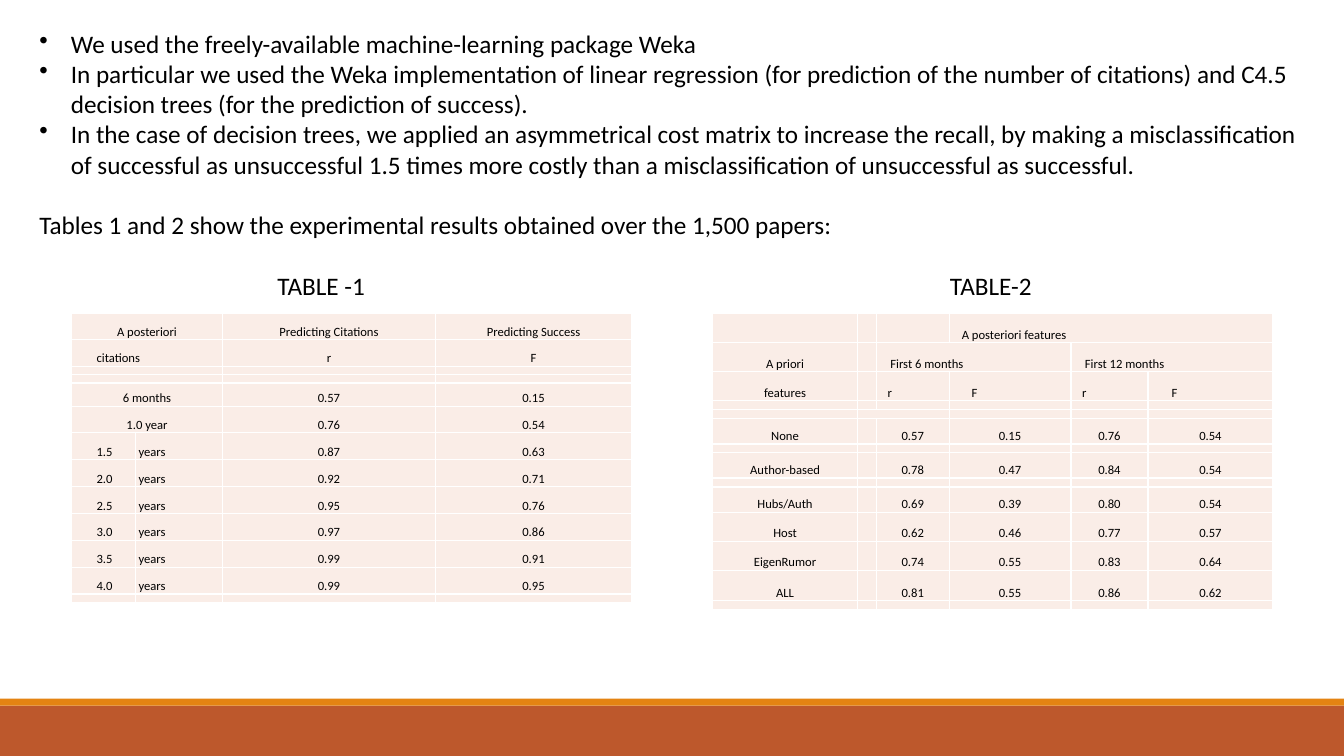
from lxml.etree import SubElement
from pptx import Presentation
from pptx.dml.color import RGBColor
from pptx.enum.shapes import MSO_SHAPE
from pptx.enum.text import MSO_ANCHOR, PP_ALIGN
from pptx.oxml import parse_xml
from pptx.oxml.ns import nsdecls, qn
from pptx.util import Pt

FONT = "Calibri"
BLACK = "000000"
CELL_FILL = "FAEDE7"
BORDER = "FFFFFF"

BULLETS = [
    "We used the freely-available machine-learning package Weka",
    "In particular we used the Weka implementation of linear regression (for prediction of "
    "the number of citations) and C4.5 decision trees (for the prediction of success).",
    "In the case of decision trees, we applied an asymmetrical cost matrix to increase the "
    "recall, by making a misclassification of successful as unsuccessful 1.5 times more "
    "costly than a misclassification of unsuccessful as successful.",
]
RESULTS_INTRO = "Tables 1 and 2 show the experimental results obtained over the 1,500 papers:"
CAPTIONS = "\tTABLE -1\tTABLE-2"

# Each row: height, exact line spacing (None for single), cells.
# A cell is centred text, or (text, left indent); None continues the cell to its left.
YEARS = [("1.5", "0.87", "0.63"), ("2.0", "0.92", "0.71"), ("2.5", "0.95", "0.76"),
         ("3.0", "0.97", "0.86"), ("3.5", "0.99", "0.91"), ("4.0", "0.99", "0.95")]
POSTERIORI_COLUMNS = [46, 62, 152, 140.3]
POSTERIORI_ROWS = [
    (18.5, None, ["A posteriori", None, "Predicting Citations", "Predicting Success"]),
    (19.2, 8.8, [("citations", 18), None, "r", "F"]),
    (6, None, ["", None, "", ""]),
    (6, None, ["", None, "", ""]),
    (16.6, 9.2, ["6 months", None, "0.57", "0.15"]),
    (19, None, ["1.0 year", None, "0.76", "0.54"]),
    *[(19.2, None, [(age, 18), ("years", 2), r, f]) for age, r, f in YEARS],
    (6, None, [""] * 4),
]

GAP_ROW = (6.4, None, [""] * 6)
PRIORI_COLUMNS = [103.5, 13.5, 52, 87, 55, 89.3]
PRIORI_ROWS = [
    (20.8, None, ["", "", "", ("A posteriori features", 9), None, None]),
    (20.8, None, ["A priori", "", ("First 6 months", 10), None, ("First 12 months", 10), None]),
    (20.8, 8.8, ["features", "", ("r", 8), ("F", 16), ("r", 8), ("F", 17)]),
    GAP_ROW,
    (6.4, None, ["", "", None, "", "", ""]),
    (18, 9.2, ["None", "", "0.57", "0.15", "0.76", "0.54"]),
    GAP_ROW,
    (18, 9.3, ["Author-based", "", "0.78", "0.47", "0.84", "0.54"]),
    GAP_ROW,
    (18, 9.3, ["Hubs/Auth", "", "0.69", "0.39", "0.80", "0.54"]),
    (20.8, None, ["Host", "", "0.62", "0.46", "0.77", "0.57"]),
    (20.8, None, ["EigenRumor", "", "0.74", "0.55", "0.83", "0.64"]),
    (21.8, None, ["ALL", "", "0.81", "0.55", "0.86", "0.62"]),
    GAP_ROW,
]


def color(value):
    return RGBColor.from_string(value)


def style_text(paragraph, size):
    paragraph.font.name = FONT
    paragraph.font.size = Pt(size)
    paragraph.font.color.rgb = color(BLACK)


def indent(paragraph, left, first=0):
    properties = paragraph._p.get_or_add_pPr()
    properties.set("marL", str(Pt(left)))
    properties.set("indent", str(Pt(first)))
    return properties


def add_bullet(paragraph):
    bullet = parse_xml(f'<a:buChar {nsdecls("a")} char="•"/>')
    indent(paragraph, 22.5, -22.5).insert_element_before(bullet, "a:defRPr")


def add_tab_stops(paragraph, positions):
    stops = parse_xml(f'<a:tabLst {nsdecls("a")}/>')
    for position in positions:
        SubElement(stops, qn("a:tab"), pos=str(Pt(position)), algn="l")
    paragraph._p.get_or_add_pPr().insert_element_before(stops, "a:defRPr")


def add_band(slide, top, height, fill):
    band = slide.shapes.add_shape(MSO_SHAPE.RECTANGLE, 0, Pt(top), Pt(960), Pt(height))
    band.shadow.inherit = False
    band.fill.solid()
    band.fill.fore_color.rgb = color(fill)
    band.line.fill.background()


def add_method_text(slide):
    frame = slide.shapes.add_textbox(Pt(21), Pt(16.5), Pt(931), Pt(225)).text_frame
    frame.word_wrap = True
    for number, text in enumerate([*BULLETS, RESULTS_INTRO, CAPTIONS]):
        paragraph = frame.paragraphs[0] if number == 0 else frame.add_paragraph()
        paragraph.text = text
        style_text(paragraph, 18)
        if text in BULLETS:
            add_bullet(paragraph)
        else:
            paragraph.space_before = Pt(21.8)
    add_tab_stops(paragraph, [170, 650.5])


def add_borders(cell):
    properties = cell._tc.get_or_add_tcPr()
    for side in ("lnL", "lnR", "lnT", "lnB"):
        properties.append(parse_xml(
            f'<a:{side} {nsdecls("a")} w="{Pt(1)}"><a:solidFill>'
            f'<a:srgbClr val="{BORDER}"/></a:solidFill></a:{side}>'))


def fill_cell(cell, content, spacing):
    cell.margin_left = cell.margin_right = cell.margin_top = cell.margin_bottom = 0
    cell.vertical_anchor = MSO_ANCHOR.BOTTOM
    add_borders(cell)
    cell.fill.solid()
    cell.fill.fore_color.rgb = color(CELL_FILL)
    paragraph = cell.text_frame.paragraphs[0]
    if not content:
        # An empty cell needs a small end mark, or it would stretch its thin row.
        paragraph._p.get_or_add_endParaRPr().set("sz", "400")
        return
    if isinstance(content, tuple):
        paragraph.text, left = content
        indent(paragraph, left)
    else:
        paragraph.text = content
        paragraph.alignment = PP_ALIGN.CENTER
    style_text(paragraph, 9)
    if spacing:
        paragraph.line_spacing = Pt(spacing)


def add_results_table(slide, left, columns, rows):
    height = sum(row[0] for row in rows)
    table = slide.shapes.add_table(len(rows), len(columns), Pt(left), Pt(224),
                                   Pt(sum(columns)), Pt(height)).table
    table.first_row = table.horz_banding = False
    for column, width in zip(table.columns, columns):
        column.width = Pt(width)
    for r, (row_height, spacing, contents) in enumerate(rows):
        table.rows[r].height = Pt(row_height)
        for c, content in enumerate(contents):
            fill_cell(table.cell(r, c), content, spacing)
        for c, content in enumerate(contents):
            if content is not None:
                end = c
                while end + 1 < len(contents) and contents[end + 1] is None:
                    end += 1
                if end > c:
                    table.cell(r, c).merge(table.cell(r, end))


def main():
    presentation = Presentation()
    presentation.slide_width = Pt(960)
    presentation.slide_height = Pt(540)
    slide = presentation.slides.add_slide(presentation.slide_layouts[6])
    add_band(slide, 504, 36, "BD582C")
    add_band(slide, 499, 5, "E48312")
    add_method_text(slide)
    add_results_table(slide, 51, POSTERIORI_COLUMNS, POSTERIORI_ROWS)
    add_results_table(slide, 509, PRIORI_COLUMNS, PRIORI_ROWS)
    presentation.save("out.pptx")


if __name__ == "__main__":
    main()
